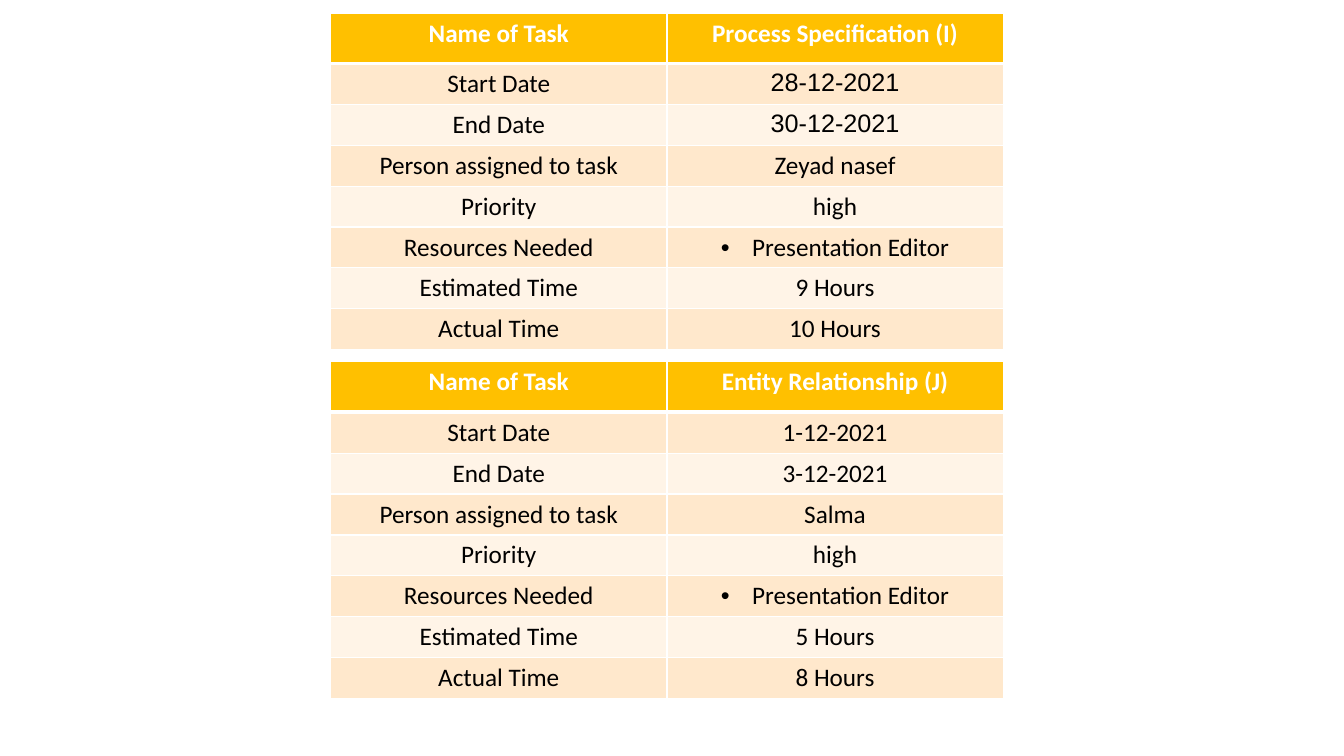
from dataclasses import dataclass

from lxml import etree
from pptx import Presentation
from pptx.dml.color import RGBColor
from pptx.enum.text import PP_ALIGN
from pptx.oxml.ns import qn
from pptx.util import Emu, Inches, Pt

CENTER = PP_ALIGN.CENTER
BLANK_LAYOUT = 6


@dataclass(frozen=True)
class Theme:
    """Colours, type and line sizes of the slide."""
    header_fill: str = "FFC000"
    bands: tuple = ("FFE8CC", "FFF4E7")
    header_text: str = "FFFFFF"
    body_text: str = "000000"
    border: str = "FFFFFF"
    font: str = "Calibri"
    date_font: str = "Arial"
    size: int = 18
    thin: int = 1
    thick: int = 3


THEME = Theme()
LABELS = ("Name of Task", "Start Date", "End Date", "Person assigned to task",
          "Priority", "Resources Needed", "Estimated Time", "Actual Time")
HEADER_ROW = 0
RESOURCES_ROW = LABELS.index("Resources Needed")
DATE_ROWS = (LABELS.index("Start Date"), LABELS.index("End Date"))
RESOURCE = "Presentation Editor"
PROCESS_TASK = ("Process Specification (I)", "28-12-2021", "30-12-2021",
                "Zeyad nasef", "high", RESOURCE, "9 Hours", "10 Hours")
ENTITY_TASK = ("Entity Relationship (J)", "1-12-2021", "3-12-2021",
               "Salma", "high", RESOURCE, "5 Hours", "8 Hours")


def set_borders(cell, widths):
    """Draw the borders of a cell, given a width in points for each side."""
    properties = cell._tc.get_or_add_tcPr()
    for position, (side, width) in enumerate(widths.items()):
        line = etree.Element(qn(f"a:ln{side}"), w=str(Pt(width)))
        fill = etree.SubElement(line, qn("a:solidFill"))
        etree.SubElement(fill, qn("a:srgbClr"), val=THEME.border)
        properties.insert(position, line)


def add_bullet(paragraph):
    """Give a paragraph a round bullet with a hanging indent."""
    properties = paragraph._p.get_or_add_pPr()
    indent = Inches(0.31)
    properties.set("marL", str(indent))
    properties.set("indent", str(-indent))
    etree.SubElement(properties, qn("a:buFont"), typeface="Arial")
    etree.SubElement(properties, qn("a:buChar"), char="•")


def set_right_to_left(paragraph, run):
    """Set a paragraph from right to left in the date font."""
    paragraph._p.get_or_add_pPr().set("rtl", "1")
    etree.SubElement(run.font._element, qn("a:cs"), typeface=THEME.date_font)


def format_cell(cell, row, text):
    """Fill, frame and write one cell according to its row."""
    is_header = row == HEADER_ROW
    fill = THEME.header_fill if is_header else THEME.bands[(row - 1) % 2]
    color = THEME.header_text if is_header else THEME.body_text
    cell.fill.solid()
    cell.fill.fore_color.rgb = RGBColor.from_string(fill)
    set_borders(cell, {"L": THEME.thin, "R": THEME.thin,
                       "T": THEME.thick if row == 1 else THEME.thin,
                       "B": THEME.thick if is_header else THEME.thin})
    paragraph = cell.text_frame.paragraphs[0]
    paragraph.alignment = CENTER
    run = paragraph.add_run()
    run.text = text
    formats = {"name": THEME.font, "size": Pt(THEME.size), "bold": is_header}
    for name, value in formats.items():
        setattr(run.font, name, value)
    run.font.color.rgb = RGBColor.from_string(color)
    return paragraph, run


def add_task_table(slide, box, values, right_to_left_rows=()):
    """Place the table of one task in the given box."""
    left, top, width, height = box
    table = slide.shapes.add_table(len(LABELS), 2, left, top, width, height).table
    header_height = Inches(0.5)
    body_height = Emu((height - header_height) // (len(LABELS) - 1))
    for column in table.columns:
        column.width = Emu(width // 2)
    for row, (label, value) in enumerate(zip(LABELS, values)):
        table.rows[row].height = header_height if row == HEADER_ROW else body_height
        format_cell(table.cell(row, 0), row, label)
        paragraph, run = format_cell(table.cell(row, 1), row, value)
        if row == RESOURCES_ROW:
            add_bullet(paragraph)
        if row in right_to_left_rows:
            set_right_to_left(paragraph, run)


def main():
    """Build the slide with its two task tables and save it."""
    presentation = Presentation()
    presentation.slide_width = Inches(13.33)
    presentation.slide_height = Inches(7.5)
    slide = presentation.slides.add_slide(presentation.slide_layouts[BLANK_LAYOUT])
    left, top, width, height = map(Inches, (3.28, 0.13, 6.67, 3.34))
    pitch = height + Inches(0.12)
    tasks = ((PROCESS_TASK, DATE_ROWS), (ENTITY_TASK, ()))
    for index, (values, right_to_left_rows) in enumerate(tasks):
        box = (left, Emu(top + index * pitch), width, height)
        add_task_table(slide, box, values, right_to_left_rows)
    presentation.save("out.pptx")


if __name__ == "__main__":
    main()
